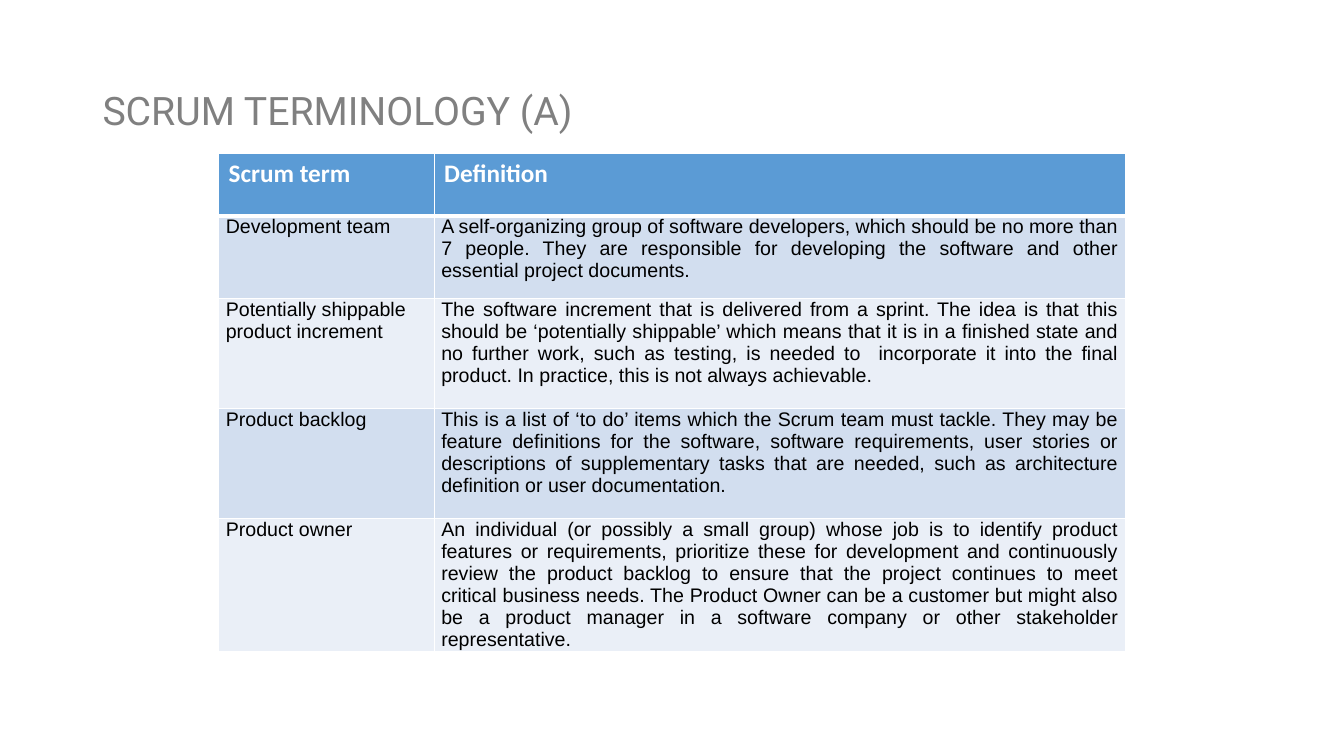
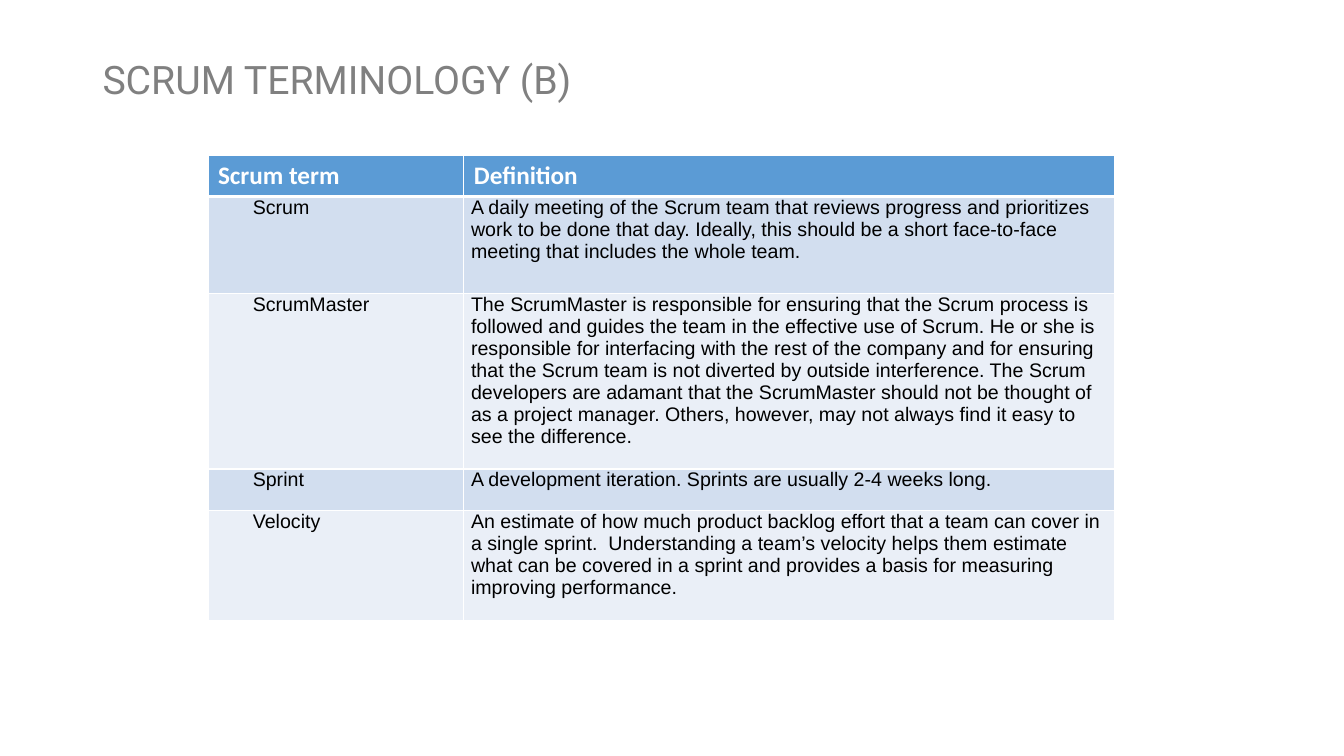
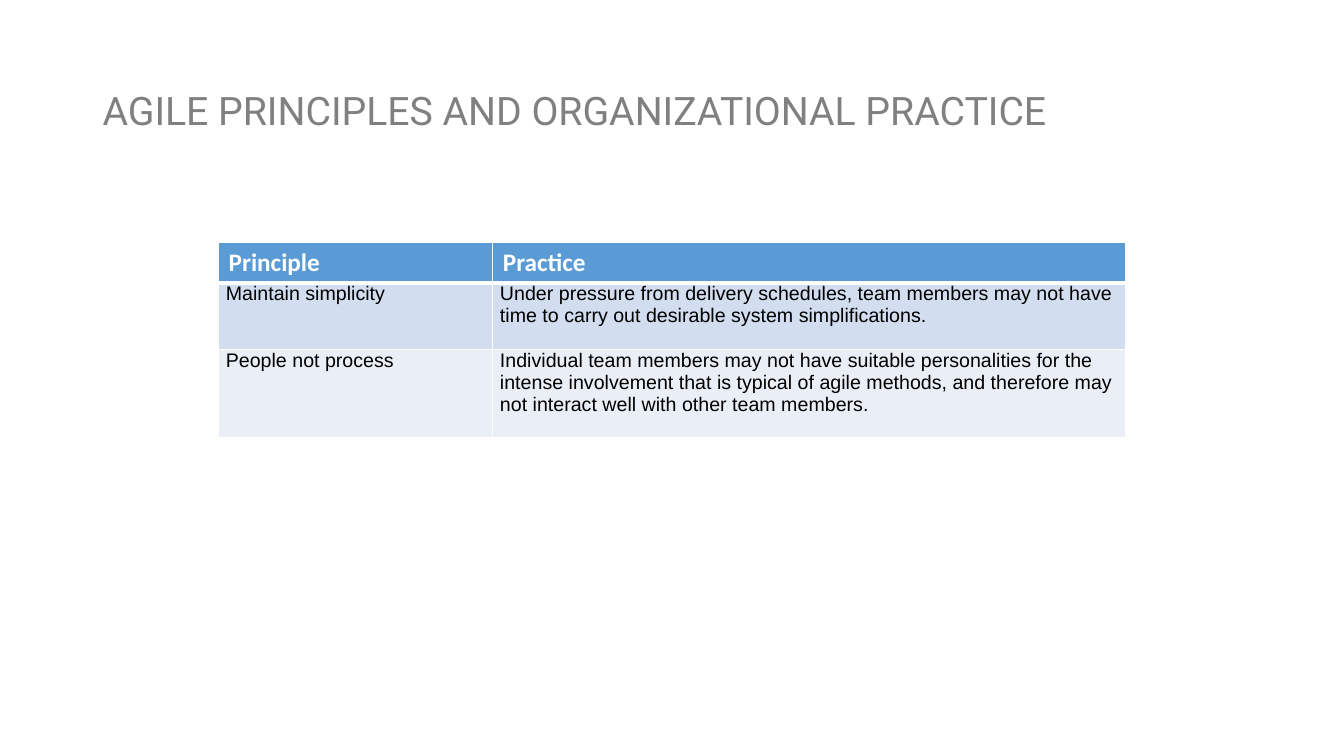
from lxml import etree
from pptx import Presentation
from pptx.dml.color import RGBColor
from pptx.enum.text import MSO_ANCHOR, PP_ALIGN
from pptx.oxml.ns import qn
from pptx.util import Cm, Pt

# Shared style
WHITE = RGBColor(0xFF, 0xFF, 0xFF)
BLACK = RGBColor(0x00, 0x00, 0x00)
TITLE_GREY = RGBColor(0x80, 0x80, 0x80)
HEADER_BLUE = RGBColor(0x5B, 0x9B, 0xD5)
BAND_DARK = RGBColor(0xD2, 0xDE, 0xEF)
BAND_LIGHT = RGBColor(0xEA, 0xEF, 0xF7)
LEFT, JUSTIFY = PP_ALIGN.LEFT, PP_ALIGN.JUSTIFY
MIDDLE, TOP = MSO_ANCHOR.MIDDLE, MSO_ANCHOR.TOP
TITLE_ONLY = 5
TABLE_WIDTH = 22.86
THIN, THICK = Pt(1), Pt(3)

# Table wording, header row first
TERMS_A = [
    ("Scrum term", "Definition"),
    ("Development team",
     "A self-organizing group of software developers, which should be no more than 7 people. "
     "They are responsible for developing the software and other essential project documents."),
    ("Potentially shippable product increment",
     "The software increment that is delivered from a sprint. The idea is that this should be "
     "‘potentially shippable’ which means that it is in a finished state and no further work, "
     "such as testing, is needed to  incorporate it into the final product. In practice, this "
     "is not always achievable."),
    ("Product backlog",
     "This is a list of ‘to do’ items which the Scrum team must tackle. They may be feature "
     "definitions for the software, software requirements, user stories or descriptions of "
     "supplementary tasks that are needed, such as architecture definition or user "
     "documentation."),
    ("Product owner",
     "An individual (or possibly a small group) whose job is to identify product features or "
     "requirements, prioritize these for development and continuously review the product "
     "backlog to ensure that the project continues to meet critical business needs. The "
     "Product Owner can be a customer but might also be a product manager in a software "
     "company or other stakeholder representative."),
]
TERMS_B = [
    ("Scrum term", "Definition"),
    ("Scrum",
     "A daily meeting of the Scrum team that reviews progress and prioritizes work to be done "
     "that day. Ideally, this should be a short face-to-face meeting that includes the whole "
     "team."),
    ("ScrumMaster",
     "The ScrumMaster is responsible for ensuring that the Scrum process is followed and "
     "guides the team in the effective use of Scrum. He or she is responsible for interfacing "
     "with the rest of the company and for ensuring that the Scrum team is not diverted by "
     "outside interference. The Scrum developers are adamant that the ScrumMaster should not "
     "be thought of as a project manager. Others, however, may not always find it easy to see "
     "the difference."),
    ("Sprint", "A development iteration. Sprints are usually 2-4 weeks long."),
    ("Velocity",
     "An estimate of how much product backlog effort that a team can cover in a single "
     "sprint.  Understanding a team’s velocity helps them estimate what can be covered in a "
     "sprint and provides a basis for measuring improving performance."),
]
PRINCIPLES = [
    ("Principle", "Practice"),
    ("Maintain simplicity",
     "Under pressure from delivery schedules, team members may not have time to carry out "
     "desirable system simplifications."),
    ("People not process",
     "Individual team members may not have suitable personalities for the intense involvement "
     "that is typical of agile methods, and therefore may not interact well with other team "
     "members."),
]


def set_font(paragraph, name, size, color, bold=False):
    font = paragraph.font
    font.name, font.size, font.bold = name, Pt(size), bold
    font.color.rgb = color


def add_titled_slide(presentation, text, top):
    slide = presentation.slides.add_slide(presentation.slide_layouts[TITLE_ONLY])
    title = slide.shapes.title
    title.left, title.top, title.width, title.height = Cm(2.33), Cm(top), Cm(29.21), Cm(3.68)
    title.text_frame.text = text
    title.text_frame.vertical_anchor = MIDDLE
    paragraph = title.text_frame.paragraphs[0]
    paragraph.alignment = LEFT
    paragraph.line_spacing = 0.9
    set_font(paragraph, "Roboto", 28, TITLE_GREY)
    return slide


def set_borders(cell, top, bottom):
    """Draw white cell borders; call before the fill, which must follow them."""
    properties = cell._tc.get_or_add_tcPr()
    for side, width in (("L", THIN), ("R", THIN), ("T", top), ("B", bottom)):
        line = etree.SubElement(properties, qn(f"a:ln{side}"), w=str(width))
        fill = etree.SubElement(line, qn("a:solidFill"))
        etree.SubElement(fill, qn("a:srgbClr"), val=str(WHITE))


def format_header_cell(cell):
    set_borders(cell, THIN, THICK)
    cell.fill.solid()
    cell.fill.fore_color.rgb = HEADER_BLUE
    set_font(cell.text_frame.paragraphs[0], "Calibri", 18, WHITE, bold=True)


def format_body_cell(cell, row, alignment, indent):
    set_borders(cell, THICK if row == 1 else THIN, THIN)
    cell.fill.solid()
    cell.fill.fore_color.rgb = BAND_DARK if row % 2 else BAND_LIGHT
    cell.margin_left = cell.margin_right = Cm(0.18)
    cell.margin_top = cell.margin_bottom = 0
    paragraph = cell.text_frame.paragraphs[0]
    paragraph.alignment = alignment
    if indent:
        properties = paragraph._p.get_or_add_pPr()
        properties.set("marL", "0")
        properties.set("indent", str(Cm(indent)))
    set_font(paragraph, "Arial", 14, BLACK)


def add_term_table(slide, rows, left, top, first_width, heights,
                   alignment=LEFT, term_indent=0):
    frame = slide.shapes.add_table(len(rows), 2, Cm(left), Cm(top),
                                   Cm(TABLE_WIDTH), Cm(sum(heights)))
    table = frame.table
    table.columns[0].width = Cm(first_width)
    table.columns[1].width = Cm(TABLE_WIDTH - first_width)
    for row, (texts, height) in enumerate(zip(rows, heights)):
        table.rows[row].height = Cm(height)
        for column, text in enumerate(texts):
            cell = table.cell(row, column)
            cell.text = text
            cell.vertical_anchor = TOP
            if row == 0:
                format_header_cell(cell)
            elif column == 0:
                format_body_cell(cell, row, LEFT, term_indent)
            else:
                format_body_cell(cell, row, alignment, 0)


def main():
    presentation = Presentation()
    presentation.slide_width, presentation.slide_height = Cm(33.87), Cm(19.05)

    # Scrum terms, first part
    slide = add_titled_slide(presentation, "SCRUM TERMINOLOGY (A)", 1.01)
    add_term_table(slide, TERMS_A, 5.51, 3.87, 5.43, [1.57, 2.08, 2.77, 2.77, 3.35],
                   alignment=JUSTIFY)

    # Scrum terms, second part
    slide = add_titled_slide(presentation, "SCRUM TERMINOLOGY (B)", 0.23)
    add_term_table(slide, TERMS_B, 5.24, 3.92, 6.45, [1.03, 2.44, 4.43, 1.04, 2.77],
                   term_indent=0.95)

    # Principles against practice
    slide = add_titled_slide(presentation, "AGILE PRINCIPLES AND ORGANIZATIONAL PRACTICE", 1.01)
    add_term_table(slide, PRINCIPLES, 5.51, 6.1, 6.91, [1.03, 1.67, 2.22])

    presentation.save("out.pptx")


if __name__ == "__main__":
    main()
